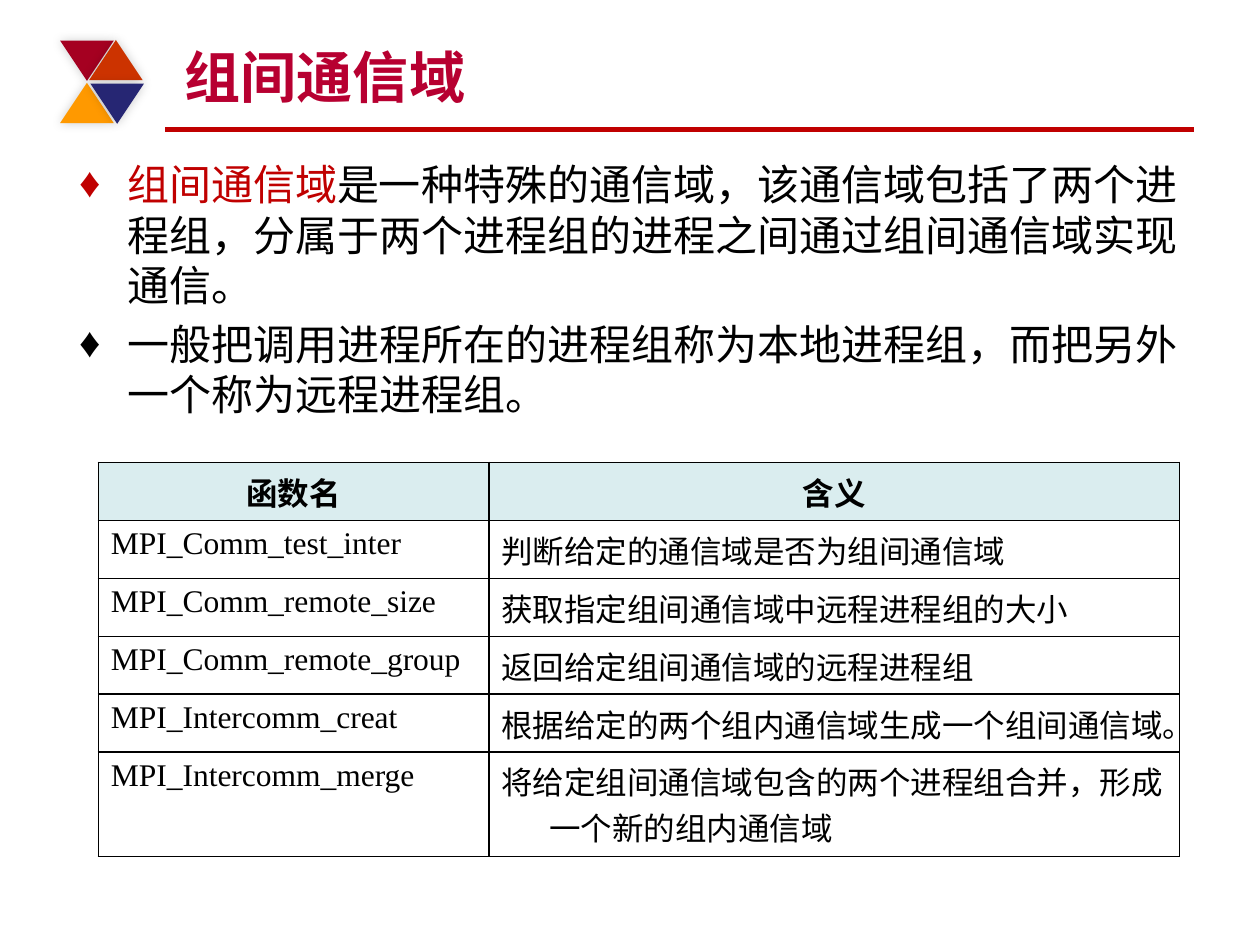
from lxml.etree import SubElement
from pptx import Presentation
from pptx.dml.color import RGBColor
from pptx.enum.shapes import MSO_CONNECTOR, MSO_SHAPE
from pptx.enum.text import MSO_ANCHOR, PP_ALIGN
from pptx.oxml.ns import qn
from pptx.util import Inches, Pt

COLORS = {
    "black": "000000",
    "red": "C00000",
    "title": "B70031",
    "header": "DAEDEF",
    "crimson": "A50021",
    "orange": "CC3300",
    "amber": "FF9900",
    "navy": "262673",
}
# Left, top, rotation and fill of each triangle
TRIANGLES = [
    (0, 0, 180, "crimson"),
    (0.23, 0, 0, "orange"),
    (0, 0.34, 0, "amber"),
    (0.24, 0.34, 180, "navy"),
]
BULLETS = [
    [("组间通信域", "red"),
     ("是一种特殊的通信域，该通信域包括了两个进程组，分属于两个进程组的进程之间通过组间通信域实现通信。", "black")],
    [("一般把调用进程所在的进程组称为本地进程组，而把另外一个称为远程进程组。", "black")],
]
ROWS = [
    ("函数名", "含义"),
    ("MPI_Comm_test_inter", "判断给定的通信域是否为组间通信域"),
    ("MPI_Comm_remote_size", "获取指定组间通信域中远程进程组的大小"),
    ("MPI_Comm_remote_group", "返回给定组间通信域的远程进程组"),
    ("MPI_Intercomm_creat", "根据给定的两个组内通信域生成一个组间通信域。"),
    ("MPI_Intercomm_merge", "将给定组间通信域包含的两个进程组合并，形成一个新的组内通信域"),
]
HANGING = Inches(0.38)


def rgb(name):
    return RGBColor.from_string(COLORS[name])


def set_hanging(para):
    properties = para._p.get_or_add_pPr()
    properties.set("marL", str(HANGING))
    properties.set("indent", str(-HANGING))
    return properties


def set_font(para, size, name="Arial", color="black", bold=False):
    para.font.size = Pt(size)
    para.font.name = name
    para.font.bold = bold
    para.font.color.rgb = rgb(color)


def add_color(parent, color):
    return SubElement(parent, qn("a:srgbClr"), val=COLORS[color])


def add_emblem(page, left, top):
    for dx, dy, rotation, color in TRIANGLES:
        triangle = page.shapes.add_shape(
            MSO_SHAPE.ISOSCELES_TRIANGLE,
            Inches(left + dx), Inches(top + dy), Inches(0.4), Inches(0.3))
        triangle.rotation = rotation
        triangle.fill.solid()
        triangle.fill.fore_color.rgb = rgb(color)
        triangle.line.color.rgb = rgb(color)
        triangle.line.width = Pt(1)
        # Sharp corners
        SubElement(triangle._element.spPr.find(qn("a:ln")), qn("a:miter"), lim="800000")
        triangle.shadow.inherit = False
        # Soft shadow
        effects = triangle._element.spPr.find(qn("a:effectLst"))
        shadow = SubElement(effects, qn("a:outerShdw"), blurRad=str(Pt(6)),
                            dist="0", dir=str(315 * 60000))
        SubElement(add_color(shadow, "black"), qn("a:alpha"), val="20000")


def add_rule(page, left, right, top):
    rule = page.shapes.add_connector(
        MSO_CONNECTOR.STRAIGHT, Inches(left), Inches(top), Inches(right), Inches(top))
    rule.line.color.rgb = rgb("red")
    rule.line.width = Pt(3)
    SubElement(rule._element.spPr, qn("a:effectLst"))


def add_text_box(page, left, top, width, height):
    box = page.shapes.add_textbox(Inches(left), Inches(top), Inches(width), Inches(height))
    box.text_frame.word_wrap = True
    return box.text_frame


def add_title(page, left, top, width, height):
    frame = add_text_box(page, left, top, width, height)
    frame.vertical_anchor = MSO_ANCHOR.BOTTOM
    para = frame.paragraphs[0]
    para.text = "组间通信域"
    set_font(para, 32, color="title", bold=True)


def add_bullets(page, left, top, width, height):
    frame = add_text_box(page, left, top, width, height)
    for index, spans in enumerate(BULLETS):
        para = frame.add_paragraph() if index else frame.paragraphs[0]
        if index:
            para.space_before = Pt(4.8)
        properties = set_hanging(para)
        SubElement(properties, qn("a:buFont"), typeface="Times New Roman")
        SubElement(properties, qn("a:buChar"), char="♦")
        para.font.size = Pt(24)
        para.font.name = "Arial"
        for text, color in spans:
            span = para.add_run()
            span.text = text
            span.font.color.rgb = rgb(color)


def set_borders(cell, left, right):
    properties = cell._tc.get_or_add_tcPr()
    for index, (side, width) in enumerate(
            (("lnL", left), ("lnR", right), ("lnT", 1), ("lnB", 1))):
        line = SubElement(properties, qn(f"a:{side}"), w=str(Pt(width)))
        properties.insert(index, line)
        add_color(SubElement(line, qn("a:solidFill")), "black")


def add_function_table(page, left, top, width, height):
    table = page.shapes.add_table(
        len(ROWS), 2, Inches(left), Inches(top), Inches(width), Inches(height)).table
    table.columns[0].width = Inches(3.1)
    table.columns[1].width = Inches(width - 3.1)
    row_height = 0.46
    last_height = height - row_height * (len(ROWS) - 1)
    for row_index, texts in enumerate(ROWS):
        header = row_index == 0
        last = row_index == len(ROWS) - 1
        table.rows[row_index].height = Inches(last_height if last else row_height)
        for column, text in enumerate(texts):
            cell = table.cell(row_index, column)
            if header:
                cell.fill.solid()
                cell.fill.fore_color.rgb = rgb("header")
            else:
                cell.fill.background()
            set_borders(cell, left=1 if column else 0.75, right=0.75 if column else 1)
            para = cell.text_frame.paragraphs[0]
            para.text = text
            set_hanging(para)
            if header:
                para.alignment = PP_ALIGN.CENTER
            latin = not header and column == 0
            set_font(para, 18, "Times New Roman" if latin else "Arial", bold=header)


def main():
    deck = Presentation()
    deck.slide_width, deck.slide_height = Inches(10), Inches(7.5)
    page = deck.slides.add_slide(deck.slide_layouts[6])
    add_rule(page, 1.31, 9.48, 1.03)
    add_emblem(page, 0.49, 0.33)
    add_bullets(page, 0.53, 1.21, 8.95, 5.96)
    add_title(page, 1.37, 0.25, 8, 0.67)
    add_function_table(page, 0.78, 3.67, 8.58, 3.13)
    deck.save("out.pptx")


if __name__ == "__main__":
    main()
